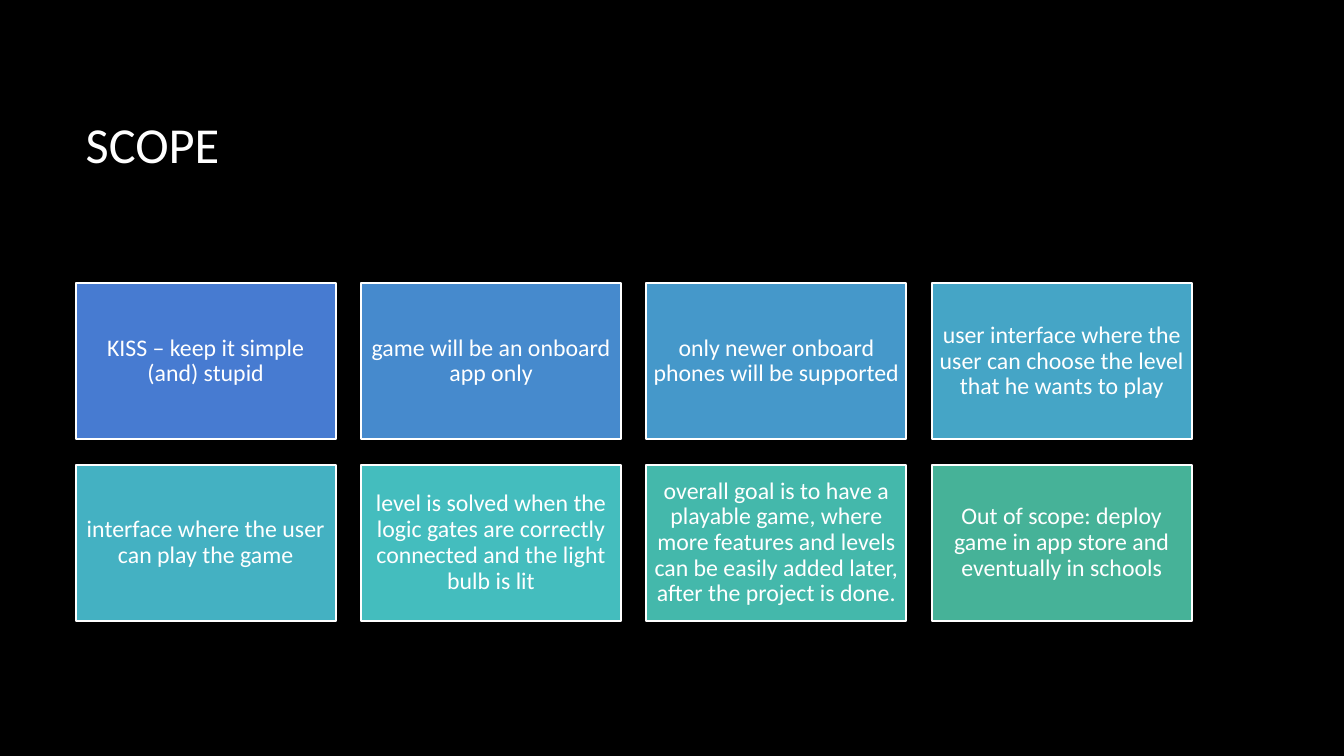
import dataclasses

import pptx
import pptx.dml.color
import pptx.enum.shapes
import pptx.enum.text
import pptx.util

Inches = pptx.util.Inches
Pt = pptx.util.Pt
RGBColor = pptx.dml.color.RGBColor
PP_ALIGN = pptx.enum.text.PP_ALIGN


@dataclasses.dataclass(frozen=True)
class Theme:
    font: str = "Calibri"
    background: str = "000000"
    text: str = "FFFFFF"
    outline: str = "FFFFFF"
    title_size: int = 36
    card_size: int = 17
    outline_width: float = 1.5


THEME = Theme()

# Scope statements with their card colours, in reading order
SCOPE_ITEMS = [
    ("KISS – keep it simple (and) stupid", "477BD1"),
    ("game will be an onboard app only", "468ACD"),
    ("only newer onboard phones will be supported", "4598CA"),
    ("user interface where the user can choose the level that he wants to play", "45A5C6"),
    ("interface where the user can play the game", "44B1C2"),
    ("level is solved when the logic gates are correctly connected and the light bulb is lit",
     "44BDBE"),
    ("overall goal is to have a playable game, where more features and levels can be easily "
     "added later, after the project is done.", "44B8AB"),
    ("Out of scope: deploy game in app store and eventually in schools", "46B298"),
]

# Card grid, in inches
COLUMNS = 4
GRID_LEFT, GRID_TOP = 0.75, 2.81
CARD_WIDTH, CARD_HEIGHT = 2.58, 1.55
GAP = 0.25
CARD_INSET = 0.07


def apply_format(target, values):
    for name, value in values.items():
        setattr(target, name, value)


def write_text(frame, text, size, alignment, frame_format):
    apply_format(frame, {
        "text": text,
        "word_wrap": True,
        "vertical_anchor": pptx.enum.text.MSO_ANCHOR.MIDDLE,
        **frame_format,
    })
    paragraph = frame.paragraphs[0]
    apply_format(paragraph, {"alignment": alignment, "line_spacing": 0.9})
    font = paragraph.runs[0].font
    apply_format(font, {"name": THEME.font, "size": Pt(size)})
    font.color.rgb = RGBColor.from_string(THEME.text)


def set_title(slide, text):
    title = slide.shapes.title
    apply_format(title, {
        "left": Inches(0.75),
        "top": Inches(0.67),
        "width": Inches(11.08),
        "height": Inches(1.59),
    })
    write_text(title.text_frame, text, THEME.title_size, PP_ALIGN.LEFT,
               {"auto_size": pptx.enum.text.MSO_AUTO_SIZE.NONE})


def add_card(slide, left, top, text, color):
    card = slide.shapes.add_shape(
        pptx.enum.shapes.MSO_SHAPE.RECTANGLE,
        Inches(left), Inches(top), Inches(CARD_WIDTH), Inches(CARD_HEIGHT))
    card.shadow.inherit = False
    card.fill.solid()
    card.fill.fore_color.rgb = RGBColor.from_string(color)
    card.line.color.rgb = RGBColor.from_string(THEME.outline)
    card.line.width = Pt(THEME.outline_width)
    margins = {f"margin_{side}": Inches(CARD_INSET)
               for side in ("left", "right", "top", "bottom")}
    write_text(card.text_frame, text, THEME.card_size, PP_ALIGN.CENTER, margins)


def main():
    deck = pptx.Presentation()
    apply_format(deck, {"slide_width": Inches(13.33), "slide_height": Inches(7.5)})

    # Title-only slide on black
    slide = deck.slides.add_slide(deck.slide_layouts.get_by_name("Title Only"))
    slide.background.fill.solid()
    slide.background.fill.fore_color.rgb = RGBColor.from_string(THEME.background)
    set_title(slide, "SCOPE")

    # Scope cards
    for index, (text, color) in enumerate(SCOPE_ITEMS):
        row, column = divmod(index, COLUMNS)
        add_card(slide,
                 GRID_LEFT + column * (CARD_WIDTH + GAP),
                 GRID_TOP + row * (CARD_HEIGHT + GAP),
                 text, color)

    deck.save("out.pptx")


if __name__ == "__main__":
    main()
